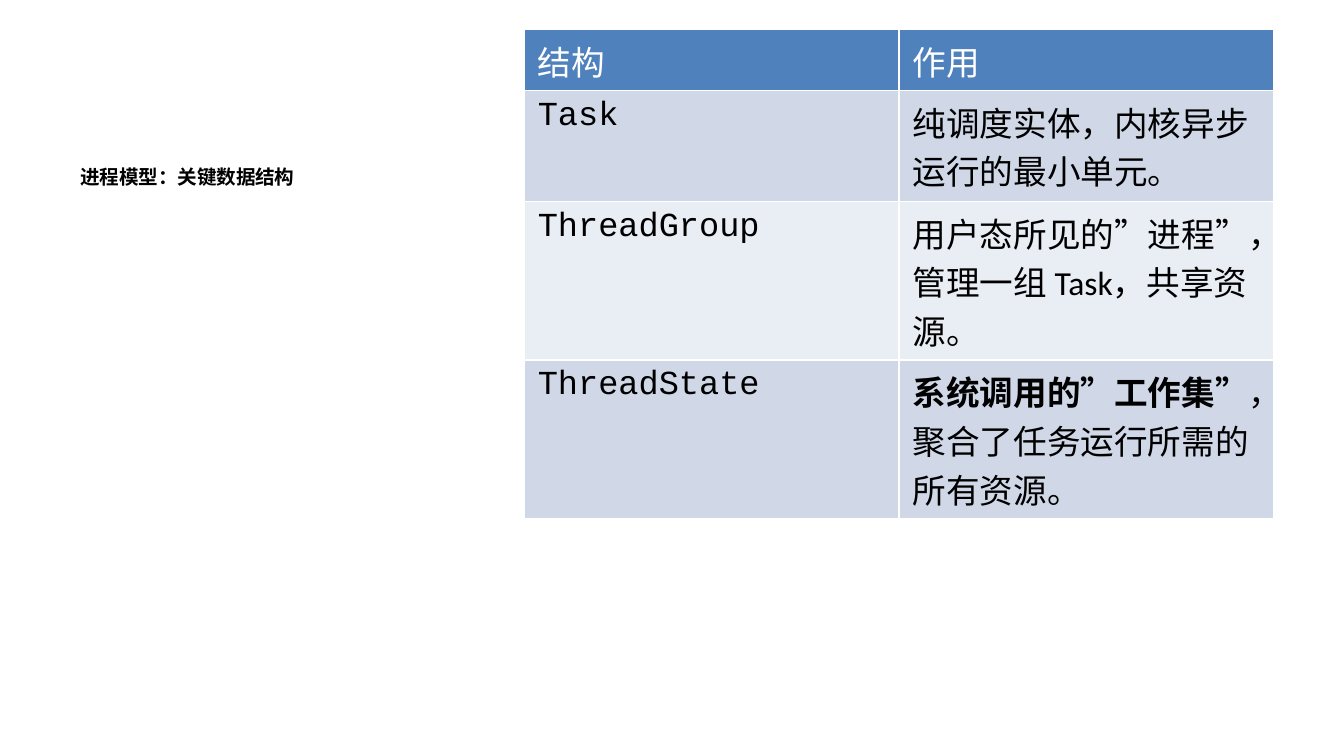
"""Build a slide that lists the key data structures of a process model."""
from dataclasses import dataclass

from pptx import Presentation
from pptx.dml.color import RGBColor
from pptx.util import Cm, Pt

TITLE = "进程模型：关键数据结构"
HEADER = ("结构", "作用")
STRUCTURES = [
    ("Task", [("纯调度实体，内核异步运行的最小单元。", False)]),
    ("ThreadGroup", [("用户态所见的”进程”，管理一组 Task，共享资源。", False)]),
    ("ThreadState", [("系统调用的”工作集”", True),
                     ("，聚合了任务运行所需的所有资源。", False)]),
]
ROW_HEIGHTS = (1.15, 2.1, 3, 3)


@dataclass(frozen=True)
class Theme:
    """Colours, fonts and type sizes of the slide."""
    text: RGBColor = RGBColor.from_string("000000")
    header_text: RGBColor = RGBColor.from_string("FFFFFF")
    header_fill: RGBColor = RGBColor.from_string("4F81BD")
    bands: tuple = (RGBColor.from_string("D0D8E8"), RGBColor.from_string("E9EDF4"))
    body_font: str = "Calibri"
    code_font: str = "Courier New"
    title_size: Pt = Pt(10.5)
    table_size: Pt = Pt(18)


THEME = Theme()


def write(paragraph, runs, font_name, size, colour):
    """Fill a paragraph with (text, bold) runs in one font."""
    paragraph.font.name = font_name
    paragraph.font.size = size
    paragraph.font.color.rgb = colour
    for text, bold in runs:
        run = paragraph.add_run()
        run.text = text
        run.font.bold = bold


def write_cell(cell, runs, font_name, colour, fill):
    """Fill one table cell and its background."""
    cell.fill.solid()
    cell.fill.fore_color.rgb = fill
    write(cell.text_frame.paragraphs[0], runs, font_name, THEME.table_size, colour)


def add_title(slide):
    """Add the title at the left of the slide."""
    box = slide.shapes.add_textbox(Cm(1.27), Cm(3), Cm(8.36), Cm(9.78))
    box.text_frame.word_wrap = True
    write(box.text_frame.paragraphs[0], [(TITLE, True)],
          THEME.body_font, THEME.title_size, THEME.text)


def add_structure_table(slide):
    """Add the table of structures and their roles."""
    frame = slide.shapes.add_table(
        len(ROW_HEIGHTS), len(HEADER),
        Cm(9.91), Cm(0.56), Cm(14.17), Cm(sum(ROW_HEIGHTS)))
    table = frame.table
    for row, height in zip(table.rows, ROW_HEIGHTS):
        row.height = Cm(height)
    for column, heading in enumerate(HEADER):
        write_cell(table.cell(0, column), [(heading, False)],
                   THEME.body_font, THEME.header_text, THEME.header_fill)
    for index, (name, role) in enumerate(STRUCTURES):
        fill = THEME.bands[index % len(THEME.bands)]
        write_cell(table.cell(index + 1, 0), [(name, False)],
                   THEME.code_font, THEME.text, fill)
        write_cell(table.cell(index + 1, 1), role,
                   THEME.body_font, THEME.text, fill)


def main():
    """Create and save the presentation."""
    presentation = Presentation()
    presentation.slide_width = Cm(25.4)
    presentation.slide_height = Cm(14.29)
    slide = presentation.slides.add_slide(presentation.slide_layouts[6])
    add_title(slide)
    add_structure_table(slide)
    presentation.save("out.pptx")


if __name__ == "__main__":
    main()
